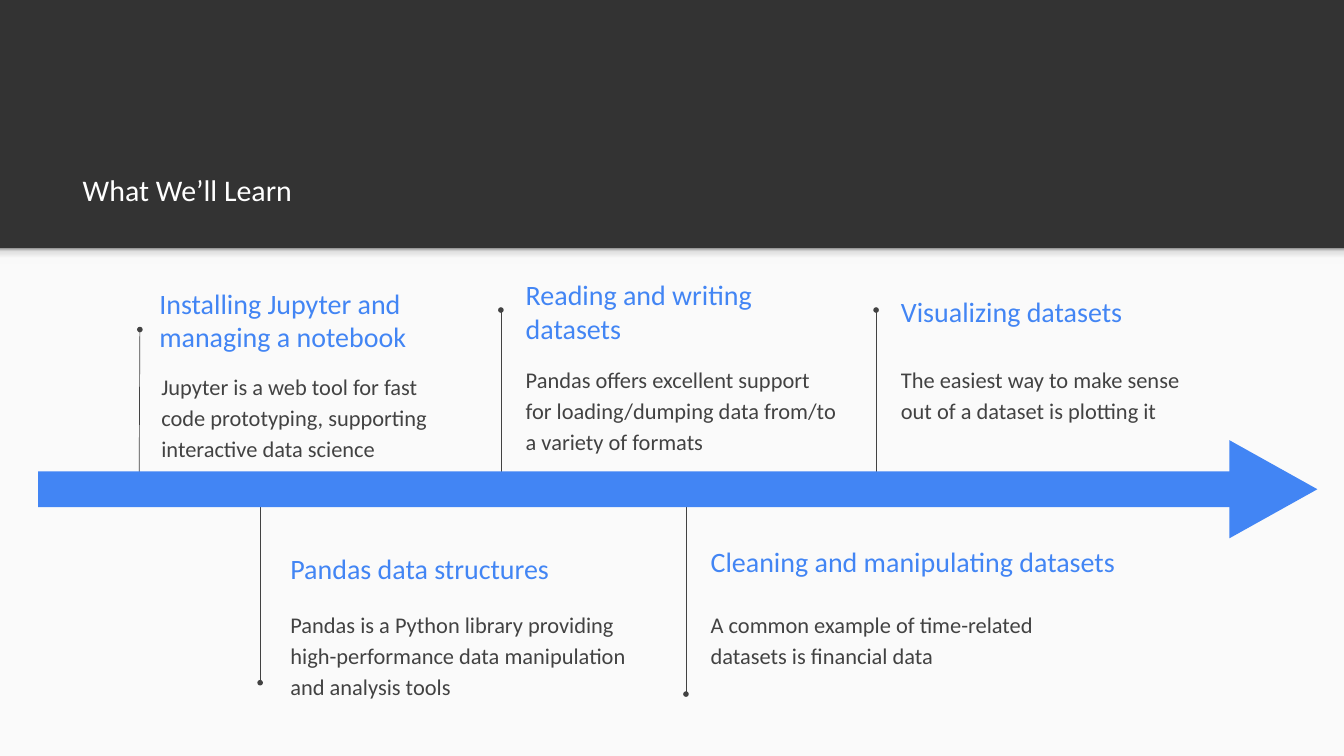
"""Build the course timeline slide."""
from dataclasses import dataclass

from lxml.etree import SubElement
from pptx import Presentation
from pptx.dml.color import RGBColor
from pptx.enum.shapes import MSO_CONNECTOR, MSO_SHAPE
from pptx.enum.text import MSO_ANCHOR, MSO_AUTO_SIZE, PP_ALIGN
from pptx.oxml.ns import qn
from pptx.shapes.autoshape import Shape
from pptx.slide import Slide
from pptx.text.text import TextFrame
from pptx.util import Pt

WIDTH, HEIGHT = 1439.3, 809.3
HEADER_BOTTOM = 265.7
DARK, PAPER, BLUE, INK, WHITE = "333333", "FAFAFA", "4285F4", "424242", "FFFFFF"
SHADE_STOPS = [(0, "F9F9F9"), (36, "F9F9F9"), (80, "DEDEDE"), (100, "999999")]

FRAME_FORMAT = {
    "word_wrap": True,
    "auto_size": MSO_AUTO_SIZE.NONE,
    "margin_left": Pt(14.4),
    "margin_top": Pt(14.4),
    "margin_right": Pt(14.4),
    "margin_bottom": Pt(14.4),
}


@dataclass(frozen=True)
class Box:
    """A rectangle in points."""
    left: float
    top: float
    width: float
    height: float

    def lengths(self) -> list[Pt]:
        """Return the four lengths in slide units."""
        return [Pt(v) for v in (self.left, self.top, self.width, self.height)]


@dataclass(frozen=True)
class TextStyle:
    """Size, colour and placing of one kind of text."""
    size: float
    color: str
    anchor: MSO_ANCHOR = MSO_ANCHOR.MIDDLE
    spacing: float = 1.0


@dataclass(frozen=True)
class Stem:
    """A line from the timeline bar to its dot."""
    bar_x: float
    bar_y: float
    dot_x: float
    dot_y: float


@dataclass(frozen=True)
class Topic:
    """One step of the course on the timeline."""
    heading: str
    heading_box: Box
    detail: str
    detail_box: Box
    stem: Stem
    anchor: MSO_ANCHOR = MSO_ANCHOR.MIDDLE


TOPICS = [
    Topic("Installing Jupyter and managing a notebook", Box(156.2, 296.6, 331.2, 91.4),
          "Jupyter is a web tool for fast code prototyping, supporting interactive data science",
          Box(158.4, 380.9, 331.2, 121), Stem(149, 515.5, 149.8, 352.8)),
    Topic("Pandas data structures", Box(296.6, 576, 349.2, 61.9),
          "Pandas is a Python library providing high-performance data manipulation and analysis tools",
          Box(296.6, 635.8, 396, 128.9), Stem(278.6, 519.1, 278.6, 730.8), MSO_ANCHOR.TOP),
    Topic("Reading and writing datasets", Box(548.6, 302.4, 349.2, 61.9),
          "Pandas offers excellent support for loading/dumping data from/to a variety of formats",
          Box(548.6, 373, 365, 91.4), Stem(536.4, 514.1, 536.4, 331.9)),
    Topic("Cleaning and manipulating datasets", Box(746.6, 547.9, 483.1, 105.1),
          "A common example of time-related datasets is financial data",
          Box(746.6, 635.8, 457.2, 128.9), Stem(734.6, 530.6, 734.6, 743)),
    Topic("Visualizing datasets", Box(950.4, 302.4, 413.3, 61.9),
          "The easiest way to make sense out of a dataset is plotting it",
          Box(950.4, 373, 365, 91.4), Stem(938.2, 514.1, 938.2, 331.9)),
]


def rgb(color: str) -> RGBColor:
    """Turn a hex string into a colour."""
    return RGBColor.from_string(color)


def write(frame: TextFrame, text: str, style: TextStyle) -> None:
    """Put styled text into a frame."""
    for name, value in FRAME_FORMAT.items():
        setattr(frame, name, value)
    frame.vertical_anchor = style.anchor
    frame.text = text
    paragraph = frame.paragraphs[0]
    paragraph.alignment = PP_ALIGN.LEFT
    paragraph.line_spacing = style.spacing
    for name, value in {"name": "Calibri", "size": Pt(style.size)}.items():
        setattr(paragraph.font, name, value)
    paragraph.font.color.rgb = rgb(style.color)


def add_text(slide: Slide, box: Box, text: str, style: TextStyle) -> None:
    """Add a text box."""
    write(slide.shapes.add_textbox(*box.lengths()).text_frame, text, style)


def add_block(slide: Slide, kind: MSO_SHAPE, box: Box, color: str) -> Shape:
    """Add a plain filled shape."""
    block = slide.shapes.add_shape(kind, *box.lengths())
    block.shadow.inherit = False
    block.fill.solid()
    block.fill.fore_color.rgb = rgb(color)
    block.line.fill.background()
    return block


def add_shade(slide: Slide) -> None:
    """Add the soft shade under the header."""
    shade = add_block(slide, MSO_SHAPE.RECTANGLE, Box(0, HEADER_BOTTOM, WIDTH, 17.3), PAPER)
    shade.fill.gradient()
    shade.fill.gradient_angle = 90
    stops = shade.fill._fill._gradFill.find(qn("a:gsLst"))
    for stop in list(stops):
        stops.remove(stop)
    for percent, color in SHADE_STOPS:
        stop = SubElement(stops, qn("a:gs"), pos=str(percent * 1000))
        SubElement(stop, qn("a:srgbClr"), val=color)


def add_stem(slide: Slide, stem: Stem) -> None:
    """Draw a stem that ends in a dot."""
    ends = [Pt(v) for v in (stem.bar_x, stem.bar_y, stem.dot_x, stem.dot_y)]
    connector = slide.shapes.add_connector(MSO_CONNECTOR.STRAIGHT, *ends)
    connector.line.width = Pt(0.75)
    connector.line.color.rgb = rgb(INK)
    SubElement(connector.line._get_or_add_ln(), qn("a:tailEnd"), type="oval")
    SubElement(connector._element.spPr, qn("a:effectLst"))


def add_title(slide: Slide) -> None:
    """Place and fill the slide title."""
    title = slide.shapes.title
    names = ("left", "top", "width", "height")
    for name, value in zip(names, Box(74.2, 115.9, 1294.6, 121).lengths()):
        setattr(title, name, value)
    write(title.text_frame, "What We’ll Learn", TextStyle(32, WHITE, MSO_ANCHOR.BOTTOM))


def add_topic(slide: Slide, topic: Topic) -> None:
    """Add one topic with its stem, heading and detail."""
    add_stem(slide, topic.stem)
    add_text(slide, topic.heading_box, topic.heading, TextStyle(30, BLUE, topic.anchor))
    add_text(slide, topic.detail_box, topic.detail, TextStyle(24, INK, MSO_ANCHOR.TOP, 1.15))


def main() -> None:
    """Build and save the slide."""
    deck = Presentation()
    deck.slide_width, deck.slide_height = Pt(WIDTH), Pt(HEIGHT)
    slide = deck.slides.add_slide(deck.slide_layouts[5])
    slide.background.fill.solid()
    slide.background.fill.fore_color.rgb = rgb(DARK)
    add_title(slide)
    panel = Box(0, HEADER_BOTTOM, WIDTH, HEIGHT - HEADER_BOTTOM)
    add_block(slide, MSO_SHAPE.RECTANGLE, panel, PAPER)
    add_shade(slide)
    for topic in TOPICS:
        add_topic(slide, topic)
    arrow_tip = Box(1311.1, 476.6, 105.1, 94.3)
    add_block(slide, MSO_SHAPE.ISOSCELES_TRIANGLE, arrow_tip, BLUE).rotation = 90
    add_block(slide, MSO_SHAPE.RECTANGLE, Box(41, 504.7, 1293.1, 38.2), BLUE)
    deck.save("out.pptx")


if __name__ == "__main__":
    main()
